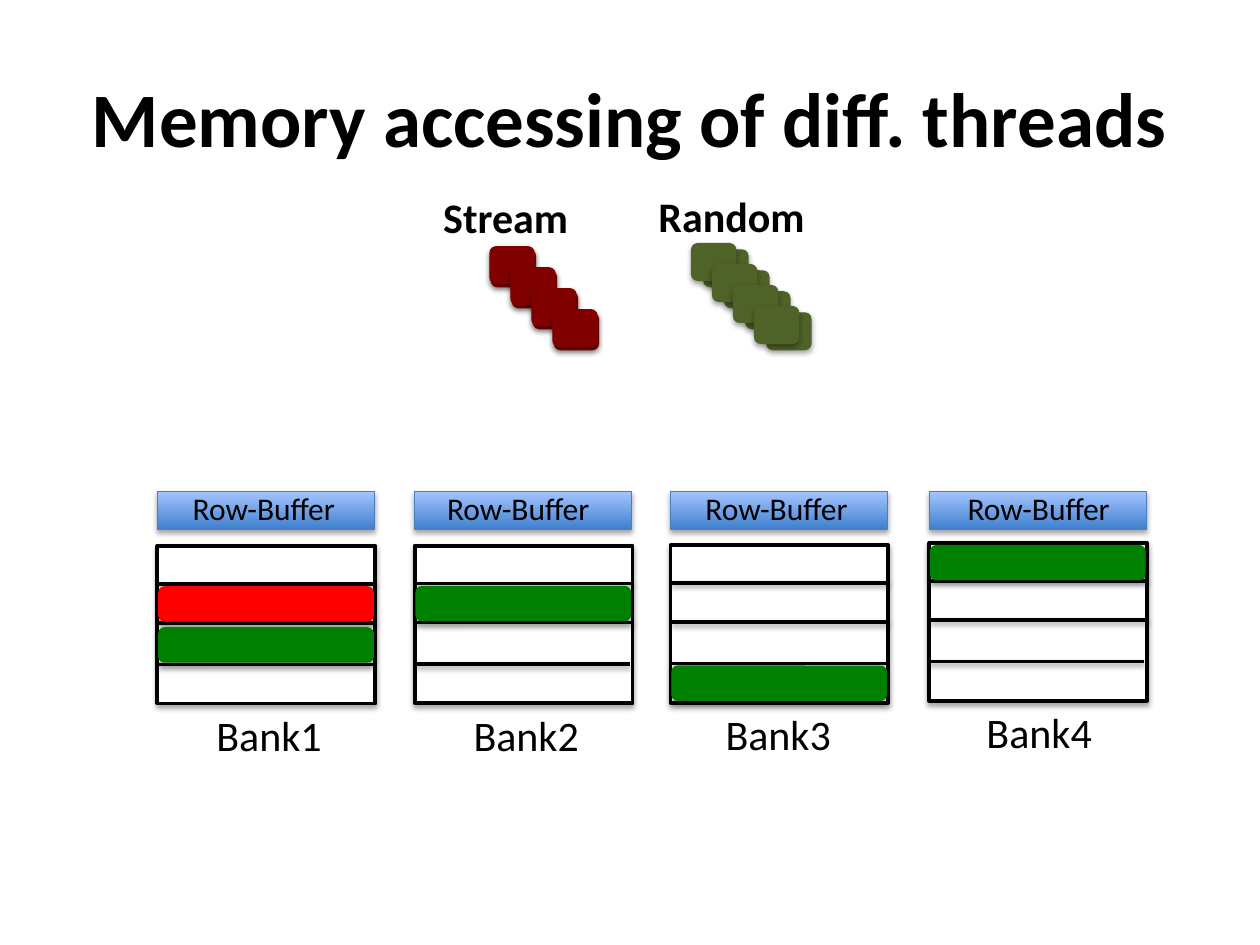
from dataclasses import dataclass

from lxml.etree import SubElement
from pptx import Presentation
from pptx.dml.color import RGBColor
from pptx.enum.shapes import MSO_CONNECTOR as Connector, MSO_SHAPE as Shape
from pptx.enum.text import MSO_ANCHOR as Anchor, PP_ALIGN as Align
from pptx.oxml.ns import qn
from pptx.util import Pt

BLACK, WHITE = "000000", "FFFFFF"
RED, GREEN, MAROON, OLIVE = "FF0000", "008000", "800000", "4F6228"
BANK_WIDTH, BANK_HEIGHT = 124.5, 90
BUFFER_TOP = 281
DIVIDERS = ((21.6, 124.5), (44, 124.5), (67.7, 122.5))
ROW_TOPS = (1.4, 23.4, 46.8, 69.2)
STACK_SIZE, STACK_STEP = 4, 12


@dataclass
class Bank:
    """One memory bank; rows maps a row index to its colour."""
    name: str
    left: float
    top: float
    name_left: float
    buffer_text_left: float
    rows: dict[int, str]


@dataclass
class Stack:
    """A diagonal run of request blocks."""
    left: float
    top: float
    color: str


BANKS = (
    Bank("Bank1", 90, 312, 116.6, 103, {1: RED, 2: GREEN}),
    Bank("Bank2", 237, 311.8, 263.5, 248.4, {1: GREEN}),
    Bank("Bank3", 383.2, 311.5, 407.5, 396, {3: GREEN}),
    Bank("Bank4", 531, 310.4, 556.6, 545.8, {0: GREEN}),
)
STACKS = (
    Stack(280.8, 142.8, MAROON),
    Stack(402.2, 142.8, OLIVE),
    Stack(280, 141, MAROON),
    Stack(395.2, 139.2, OLIVE),
)


def rgb(color: str) -> RGBColor:
    """Turn a hex string into a colour."""
    return RGBColor.from_string(color)


def add_shadow(shape, opacity: int, distance: float) -> None:
    """Give a shape or connector a soft shadow straight below it."""
    properties = shape._element.spPr
    effects = SubElement(properties, qn("a:effectLst"))
    shadow = SubElement(effects, qn("a:outerShdw"), blurRad=str(Pt(3.1)),
                        dist=str(Pt(distance)), dir="5400000", rotWithShape="0")
    color = SubElement(shadow, qn("a:srgbClr"), val=BLACK)
    SubElement(color, qn("a:alpha"), val=str(opacity * 1000))


def add_box(slide, kind, left: float, top: float, width: float, height: float,
            fill: str | tuple[str, str], line: str, weight: float = 0.75) -> None:
    """Add a shadowed box; a pair of fills runs from bottom to top."""
    shape = slide.shapes.add_shape(kind, Pt(left), Pt(top), Pt(width), Pt(height))
    if isinstance(fill, tuple):
        shape.fill.gradient()
        shape.fill.gradient_angle = 90
        for stop, color in zip(shape.fill.gradient_stops, fill):
            stop.color.rgb = rgb(color)
    else:
        shape.fill.solid()
        shape.fill.fore_color.rgb = rgb(fill)
    shape.line.color.rgb = rgb(line)
    shape.line.width = Pt(weight)
    add_shadow(shape, 35, 1.8)


def add_divider(slide, left: float, top: float, width: float) -> None:
    """Add a horizontal line between two rows of a bank."""
    line = slide.shapes.add_connector(
        Connector.STRAIGHT, Pt(left), Pt(top), Pt(left + width), Pt(top))
    line.line.color.rgb = rgb(BLACK)
    line.line.width = Pt(2)
    add_shadow(line, 38, 1.6)


def add_text(slide, text: str, left: float, top: float, width: float, height: float,
             size: float, bold: bool = False, align=Align.LEFT, anchor=Anchor.TOP) -> None:
    """Add a one-paragraph text box."""
    box = slide.shapes.add_textbox(Pt(left), Pt(top), Pt(width), Pt(height))
    frame = box.text_frame
    frame.word_wrap = True
    frame.vertical_anchor = anchor
    paragraph = frame.paragraphs[0]
    paragraph.text = text
    paragraph.alignment = align
    font = paragraph.font
    font.name, font.size, font.bold = "Calibri", Pt(size), bold
    font.color.rgb = rgb(BLACK)


def draw_bank(slide, bank: Bank) -> None:
    """Draw a bank with its rows, row buffer and labels."""
    add_box(slide, Shape.RECTANGLE, bank.left, bank.top, BANK_WIDTH, BANK_HEIGHT,
            WHITE, BLACK, 2.25)
    for offset, width in DIVIDERS:
        add_divider(slide, bank.left + 0.5, bank.top + offset, width)
    for row, color in bank.rows.items():
        add_box(slide, Shape.ROUNDED_RECTANGLE, bank.left + 0.8,
                bank.top + ROW_TOPS[row], 122.5, 19.5, color, color)
    add_box(slide, Shape.RECTANGLE, bank.left, BUFFER_TOP, 124, 21.6,
            ("3F80CE", "A4C4FF"), "4B7EBC")
    add_text(slide, "Row-Buffer", bank.buffer_text_left, BUFFER_TOP - 5, 99.5, 29, 18)
    add_text(slide, bank.name, bank.name_left, bank.top + BANK_HEIGHT, 82, 36, 24)


def draw_stack(slide, stack: Stack) -> None:
    """Draw request blocks stepping down to the right."""
    for index in range(STACK_SIZE):
        shift = index * STACK_STEP
        add_box(slide, Shape.ROUNDED_RECTANGLE, stack.left + shift, stack.top + shift,
                25.2, 21, stack.color, stack.color)


def main() -> None:
    """Build the slide."""
    presentation = Presentation()
    presentation.slide_width, presentation.slide_height = Pt(720), Pt(540)
    slide = presentation.slides.add_slide(presentation.slide_layouts[6])
    add_text(slide, "Memory accessing of diff. threads", 36, 21.6, 648, 90, 44,
             True, Align.CENTER, Anchor.MIDDLE)
    for bank in BANKS:
        draw_bank(slide, bank)
    for stack in STACKS:
        draw_stack(slide, stack)
    add_text(slide, "Stream", 246.2, 106, 114, 36, 24, True)
    add_text(slide, "Random", 369.2, 105.2, 114, 36, 24, True)
    presentation.save("out.pptx")


main()
